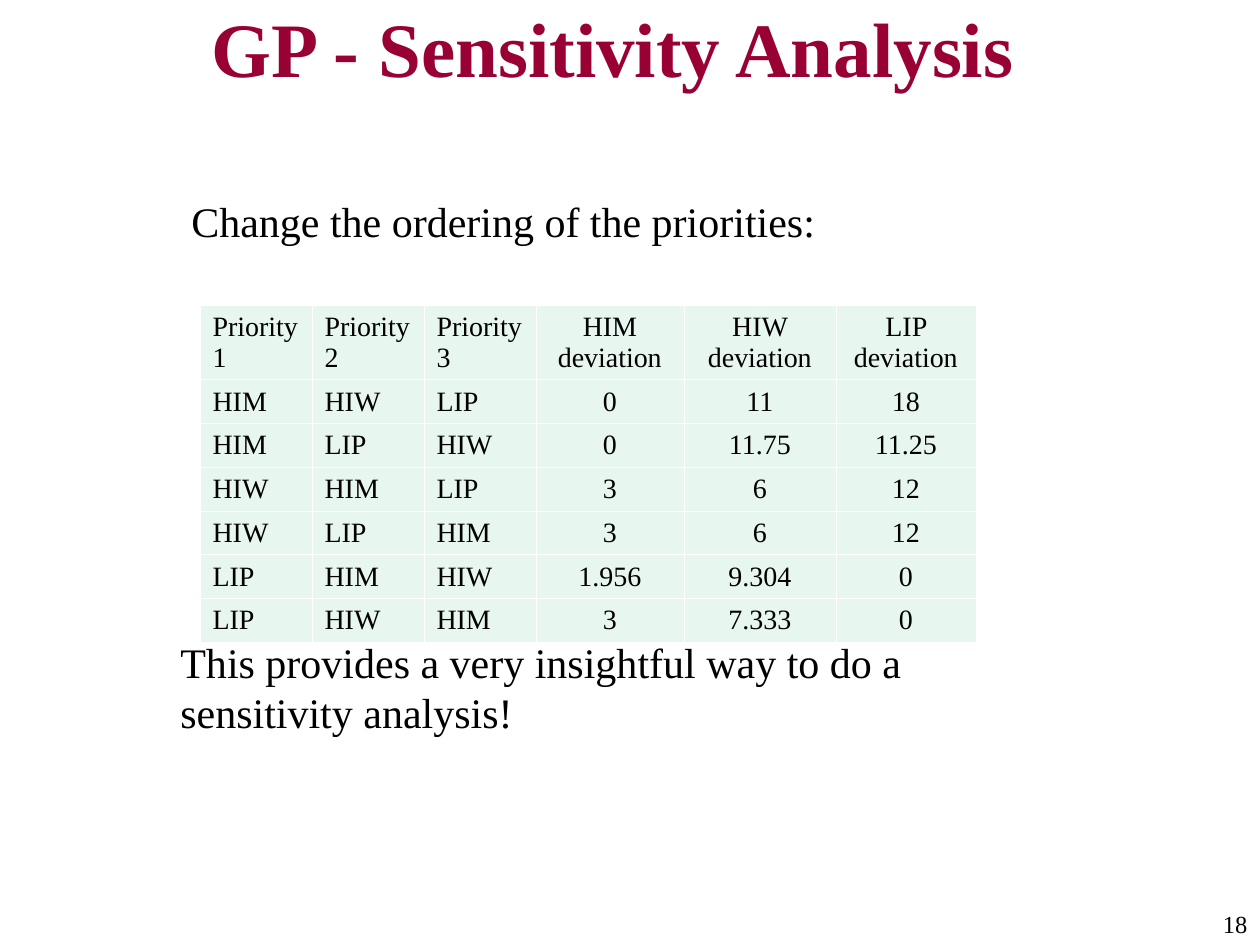
from dataclasses import dataclass

import lxml.etree
import pptx
import pptx.dml.color
import pptx.enum.text
import pptx.oxml.ns
import pptx.util

EMU_PER_PX = 914400 // 126
FONT = "Times New Roman"
MAROON = pptx.dml.color.RGBColor(0x99, 0x00, 0x33)
BLACK = pptx.dml.color.RGBColor(0x00, 0x00, 0x00)
MINT = pptx.dml.color.RGBColor(0xE7, 0xF6, 0xEF)
WHITE = pptx.dml.color.RGBColor(0xFF, 0xFF, 0xFF)
BORDER_WIDTH = pptx.util.Pt(0.45)

ALIGN = pptx.enum.text.PP_ALIGN
ANCHOR = pptx.enum.text.MSO_ANCHOR

COLUMN_WIDTHS = (112, 112, 112, 148, 152, 140)
HEADER_HEIGHT, ROW_HEIGHT = 71, 35
PRIORITY_COLUMNS = 3
ROWS = (
    ("Priority 1", "Priority 2", "Priority 3",
     "HIM deviation", "HIW deviation", "LIP deviation"),
    ("HIM", "HIW", "LIP", "0", "11", "18"),
    ("HIM", "LIP", "HIW", "0", "11.75", "11.25"),
    ("HIW", "HIM", "LIP", "3", "6", "12"),
    ("HIW", "LIP", "HIM", "3", "6", "12"),
    ("LIP", "HIM", "HIW", "1.956", "9.304", "0"),
    ("LIP", "HIW", "HIM", "3", "7.333", "0"),
)


@dataclass(frozen=True)
class Label:
    text: str
    left: int
    top: int
    width: int
    height: int
    size: int
    align: ALIGN = ALIGN.LEFT


TITLE = Label("GP - Sensitivity Analysis", 199, 10, 1061, 73, 44)
LABELS = (
    Label("Change the ordering of the priorities:", 179, 189, 809, 63, 24),
    Label("This provides a very insightful way to do a sensitivity analysis!",
          168, 630, 882, 113, 24),
    Label("18", 1081, 903, 179, 42, 14, ALIGN.RIGHT),
)


def px(length: int) -> pptx.util.Emu:
    return pptx.util.Emu(length * EMU_PER_PX)


def write_text(frame, text: str, size: int, align: ALIGN,
               color=BLACK, bold: bool = False) -> None:
    frame.word_wrap = True
    para = frame.paragraphs[0]
    para.alignment = align
    span = para.add_run()
    span.text = text
    style = {"name": FONT, "size": pptx.util.Pt(size), "bold": bold}
    for name, value in style.items():
        setattr(span.font, name, value)
    span.font.color.rgb = color


def add_title(page, label: Label) -> None:
    title = page.shapes.title
    for name in ("left", "top", "width", "height"):
        setattr(title, name, px(getattr(label, name)))
    frame = title.text_frame
    frame.auto_size = pptx.enum.text.MSO_AUTO_SIZE.NONE
    frame.vertical_anchor = ANCHOR.MIDDLE
    write_text(frame, label.text, label.size, label.align, MAROON, True)


def add_label(page, label: Label) -> None:
    box = page.shapes.add_textbox(px(label.left), px(label.top),
                                  px(label.width), px(label.height))
    write_text(box.text_frame, label.text, label.size, label.align)


def add_borders(cell) -> None:
    qn = pptx.oxml.ns.qn
    properties = cell._tc.get_or_add_tcPr()
    # Border lines come before the fill in the cell properties
    for index, side in enumerate(("a:lnL", "a:lnR", "a:lnT", "a:lnB")):
        line = lxml.etree.Element(qn(side), w=str(BORDER_WIDTH))
        fill = lxml.etree.SubElement(line, qn("a:solidFill"))
        lxml.etree.SubElement(fill, qn("a:srgbClr"), val=str(WHITE))
        properties.insert(index, line)


def add_priority_table(page, left: int, top: int) -> None:
    heights = [HEADER_HEIGHT] + [ROW_HEIGHT] * (len(ROWS) - 1)
    table = page.shapes.add_table(
        len(ROWS), len(COLUMN_WIDTHS), px(left), px(top),
        px(sum(COLUMN_WIDTHS)), px(sum(heights))).table
    table.first_row = table.horz_banding = False
    for column, width in zip(table.columns, COLUMN_WIDTHS):
        column.width = px(width)
    for row, height, values in zip(table.rows, heights, ROWS):
        row.height = px(height)
        for index, (cell, value) in enumerate(zip(row.cells, values)):
            cell.fill.solid()
            cell.fill.fore_color.rgb = MINT
            cell.vertical_anchor = ANCHOR.BOTTOM
            add_borders(cell)
            align = ALIGN.LEFT if index < PRIORITY_COLUMNS else ALIGN.CENTER
            write_text(cell.text_frame, value, 16, align)


def main() -> None:
    deck = pptx.Presentation()
    deck.slide_width, deck.slide_height = px(1260), px(945)
    page = deck.slides.add_slide(deck.slide_layouts.get_by_name("Title Only"))

    # Heading, table, then the statements and page number
    add_title(page, TITLE)
    add_priority_table(page, 200, 305)
    for label in LABELS:
        add_label(page, label)

    deck.save("out.pptx")


if __name__ == "__main__":
    main()
